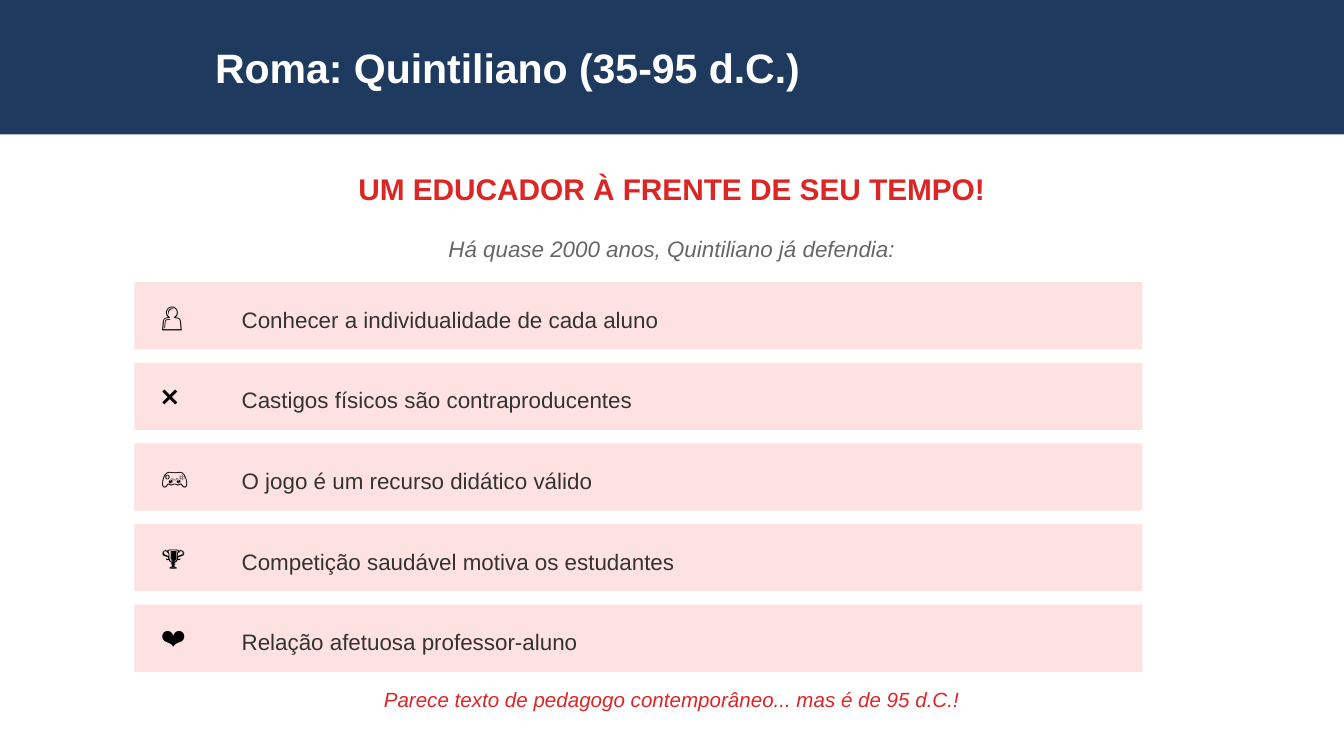
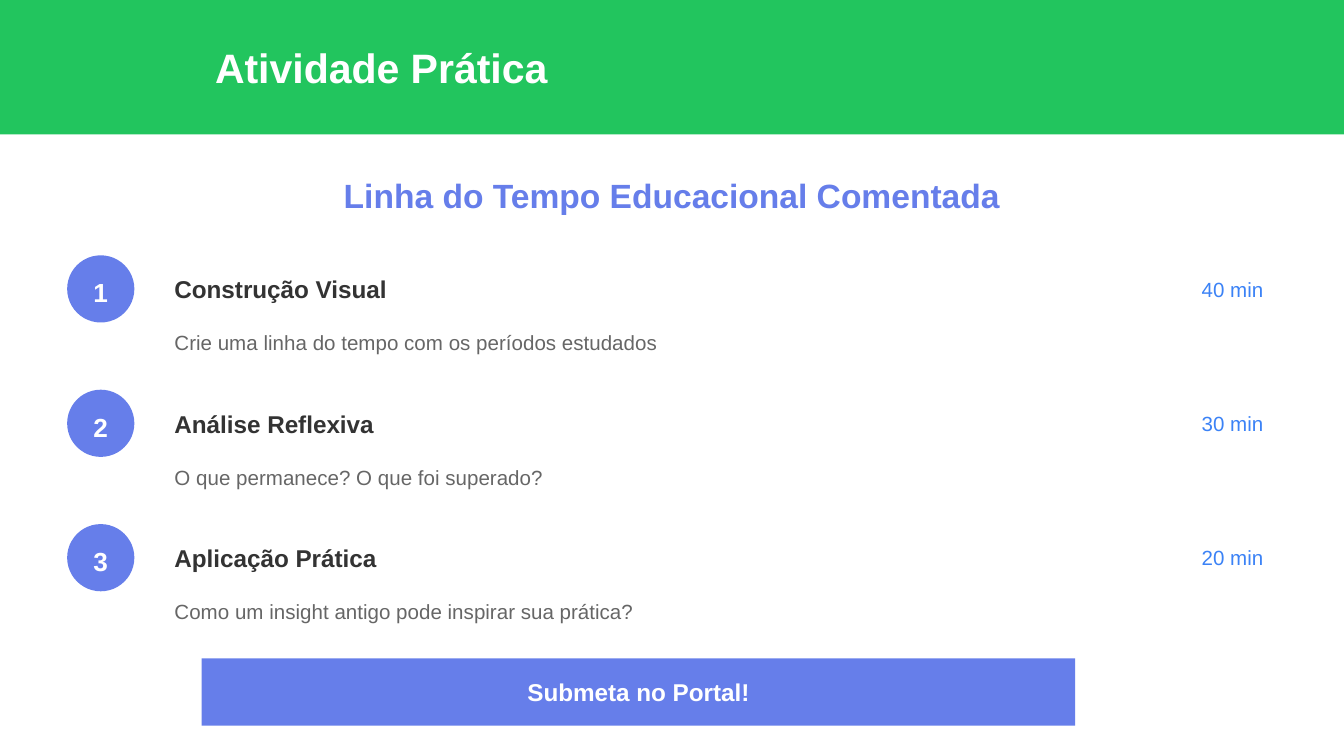
from dataclasses import dataclass
from typing import NamedTuple

from pptx import Presentation
from pptx.dml.color import RGBColor
from pptx.enum.shapes import MSO_SHAPE
from pptx.enum.text import MSO_ANCHOR, MSO_AUTO_SIZE, PP_ALIGN
from pptx.util import Pt

EMU_PER_PX = 4572


class Style(NamedTuple):
    """Hold the look of one kind of text."""

    size: int
    color: str
    align: PP_ALIGN = PP_ALIGN.LEFT
    bold: bool = False
    italic: bool = False


@dataclass(frozen=True)
class Theme:
    """Collect the colours and type styles of the deck."""

    font: str = "Arial"
    navy: str = "1E3A5F"
    green: str = "22C55E"
    rose: str = "FEE2E2"
    indigo: str = "667EEA"
    title: Style = Style(22, "FFFFFF", bold=True)
    claim: Style = Style(16, "DC2626", PP_ALIGN.CENTER, bold=True)
    lead: Style = Style(12, "666666", PP_ALIGN.CENTER, italic=True)
    icon: Style = Style(14, "000000")
    idea: Style = Style(12, "333333")
    closing: Style = Style(11, "DC2626", PP_ALIGN.CENTER, italic=True)
    activity: Style = Style(18, "667EEA", PP_ALIGN.CENTER, bold=True)
    number: Style = Style(14, "FFFFFF", PP_ALIGN.CENTER, bold=True)
    step: Style = Style(13, "333333", bold=True)
    duration: Style = Style(11, "3B82F6", PP_ALIGN.RIGHT)
    detail: Style = Style(11, "666666")
    button: Style = Style(13, "FFFFFF", PP_ALIGN.CENTER, bold=True)


THEME = Theme()


class Box(NamedTuple):
    """Describe a rectangle in px."""

    left: int
    top: int
    width: int
    height: int

    def inside(self, left, top, width, height):
        """Return a box placed relative to this one."""
        return Box(self.left + left, self.top + top, width, height)

    def emu(self):
        """Return the four lengths in EMU."""
        return [length * EMU_PER_PX for length in self]


PAGE = Box(0, 0, 2000, 1125)

IDEAS = [
    ("👤", "Conhecer a individualidade de cada aluno"),
    ("❌", "Castigos físicos são contraproducentes"),
    ("🎮", "O jogo é um recurso didático válido"),
    ("🏆", "Competição saudável motiva os estudantes"),
    ("❤️", "Relação afetuosa professor-aluno"),
]

STEPS = [
    ("Construção Visual", "40 min", "Crie uma linha do tempo com os períodos estudados"),
    ("Análise Reflexiva", "30 min", "O que permanece? O que foi superado?"),
    ("Aplicação Prática", "20 min", "Como um insight antigo pode inspirar sua prática?"),
]


def write(shape, text, style):
    """Set and format one line of text in a shape."""
    frame = shape.text_frame
    frame.text = text
    frame.word_wrap = True
    frame.auto_size = MSO_AUTO_SIZE.NONE
    frame.vertical_anchor = MSO_ANCHOR.MIDDLE
    para = frame.paragraphs[0]
    para.alignment = style.align
    for span in para.runs:
        span.font.name = THEME.font
        span.font.size = Pt(style.size)
        span.font.bold = style.bold
        span.font.italic = style.italic
        span.font.color.rgb = RGBColor.from_string(style.color)


def add_label(page, box, text, style):
    """Add a text box with one line."""
    write(page.shapes.add_textbox(*box.emu()), text, style)


def add_block(page, box, color, kind=MSO_SHAPE.RECTANGLE):
    """Add a flat filled shape without outline."""
    block = page.shapes.add_shape(kind, *box.emu())
    block.shadow.inherit = False
    block.fill.solid()
    block.fill.fore_color.rgb = RGBColor.from_string(color)
    block.line.fill.background()
    return block


def add_page(deck, heading, color):
    """Add a page with its title on a coloured band."""
    page = deck.slides.add_slide(deck.slide_layouts[5])
    title = page.shapes.title
    band = PAGE.inside(0, 0, PAGE.width, 200)
    title.element.addprevious(add_block(page, band, color).element)
    title.left, title.top, title.width, title.height = band.inside(300, 50, 1600, 100).emu()
    write(title, heading, THEME.title)
    return page


def add_idea(page, box, icon, text):
    """Add a tinted row with an icon and an idea."""
    add_block(page, box, THEME.rose)
    add_label(page, box.inside(20, 10, 100, 80), icon, THEME.icon)
    add_label(page, box.inside(140, 20, 1300, 70), text, THEME.idea)


def add_step(page, box, number, name, duration, detail):
    """Add a numbered step with its duration and detail."""
    add_block(page, box.inside(0, 0, 100, 100), THEME.indigo, MSO_SHAPE.OVAL)
    add_label(page, box.inside(0, 20, 100, 70), str(number), THEME.number)
    add_label(page, box.inside(140, 10, 1000, 80), name, THEME.step)
    add_label(page, box.inside(box.width - 500, 10, 500, 80), duration, THEME.duration)
    add_label(page, box.inside(140, 90, 1600, 80), detail, THEME.detail)


def add_button(page, box, text):
    """Add a call to action on a filled bar."""
    add_block(page, box, THEME.indigo)
    add_label(page, box.inside(0, 10, box.width, box.height - 20), text, THEME.button)


def build_quintilian(deck):
    """Build the page on Quintilian's ideas."""
    page = add_page(deck, "Roma: Quintiliano (35-95 d.C.)", THEME.navy)
    body = PAGE.inside(100, 240, 1800, 840)
    add_label(page, body.inside(0, 0, body.width, 80),
              "UM EDUCADOR À FRENTE DE SEU TEMPO!", THEME.claim)
    add_label(page, body.inside(0, 100, body.width, 60),
              "Há quase 2000 anos, Quintiliano já defendia:", THEME.lead)
    for index, (icon, text) in enumerate(IDEAS):
        add_idea(page, body.inside(100, 180 + 120 * index, 1500, 100), icon, text)
    add_label(page, body.inside(0, 760, body.width, 80),
              "Parece texto de pedagogo contemporâneo... mas é de 95 d.C.!", THEME.closing)


def build_activity(deck):
    """Build the page on the practical activity."""
    page = add_page(deck, "Atividade Prática", THEME.green)
    body = PAGE.inside(100, 240, 1800, 840)
    add_label(page, body.inside(0, 0, body.width, 100),
              "Linha do Tempo Educacional Comentada", THEME.activity)
    for index, step in enumerate(STEPS):
        add_step(page, body.inside(0, 140 + 200 * index, body.width, 170), index + 1, *step)
    add_button(page, body.inside(200, 740, 1300, 100), "Submeta no Portal!")


def main():
    """Build and save the deck."""
    deck = Presentation()
    deck.slide_width = PAGE.width * EMU_PER_PX
    deck.slide_height = PAGE.height * EMU_PER_PX
    build_quintilian(deck)
    build_activity(deck)
    deck.save("out.pptx")


if __name__ == "__main__":
    main()
